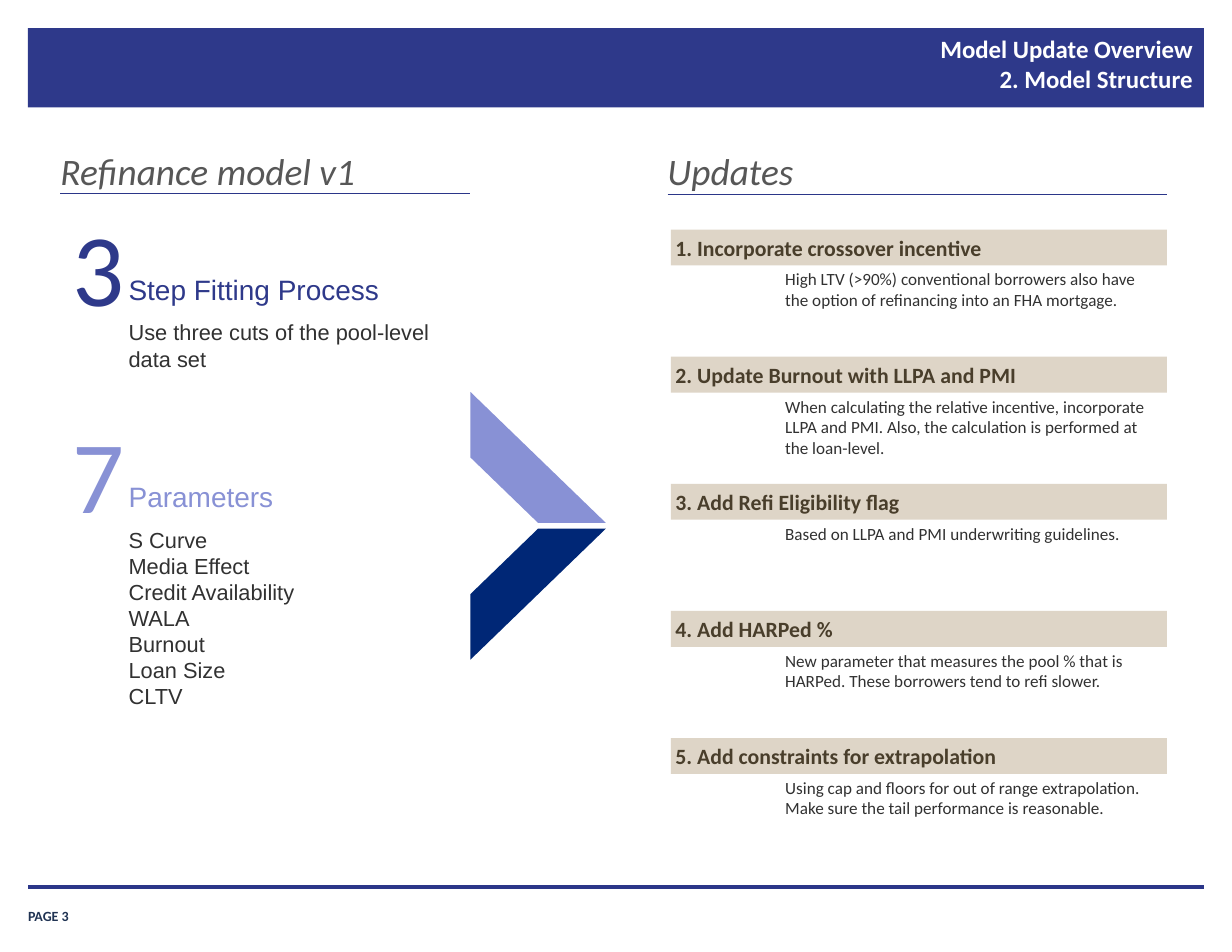
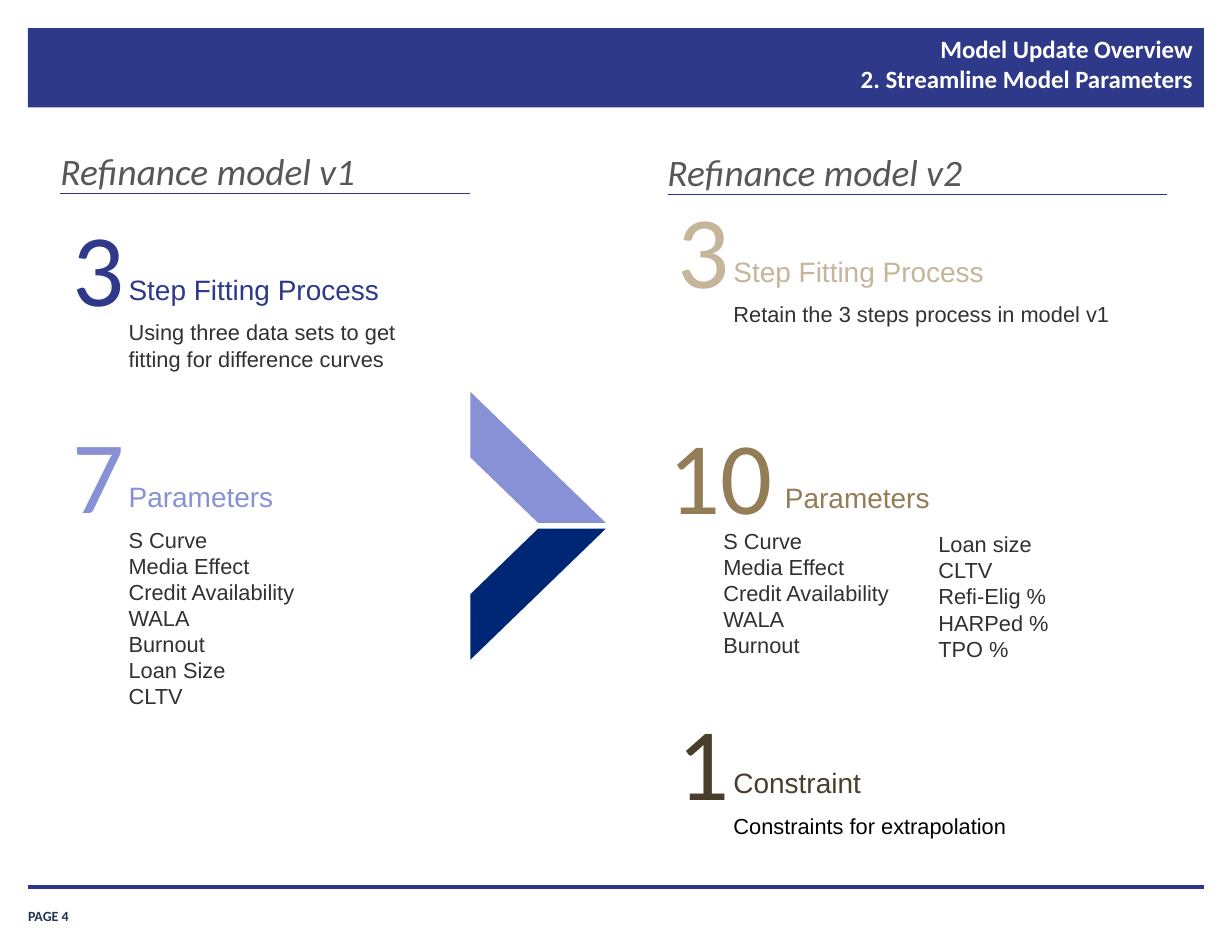
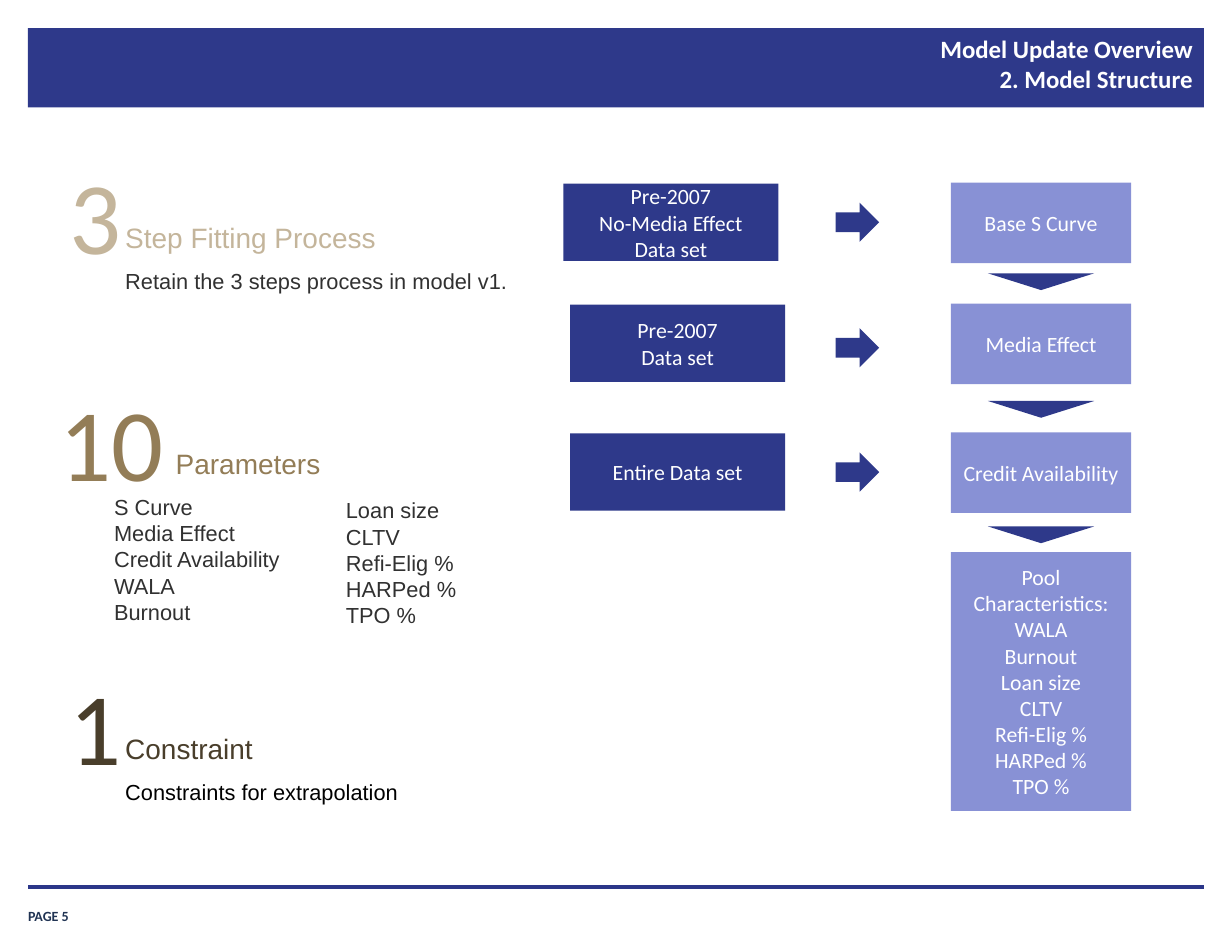
from dataclasses import dataclass
from lxml import etree
from pptx import Presentation
from pptx.dml.color import RGBColor as Rgb
from pptx.enum.shapes import MSO_CONNECTOR as Wire, MSO_SHAPE as Form
from pptx.enum.text import MSO_ANCHOR as Anchor, MSO_AUTO_SIZE as Fit, PP_ALIGN as Align
from pptx.oxml.ns import qn
from pptx.util import Inches, Pt

HUES = {
    "navy": "2E398A", "rule": "2B3689", "lilac": "8891D5", "deep": "002776",
    "sand": "DED5C7", "tan": "C4B59B", "gold": "937D57", "brown": "493E2B",
    "gray": "575757", "ink": "313131", "page": "203353", "white": "FFFFFF",
    "black": "000000",
}
OLD = ("S Curve", "Media Effect", "Credit Availability", "WALA", "Burnout",
       "Loan Size", "CLTV")
NEW = ("Loan size", "CLTV", "Refi-Elig %", "HARPed %", "TPO %")


@dataclass(frozen=True)
class Style:
    size: float
    hue: str
    font: str = "Calibri"
    bold: bool = False
    slant: bool = False
    align: Align = Align.LEFT


@dataclass(frozen=True)
class Stat:
    left: float
    top: float
    digit: str
    label: str
    hue: str
    lines: tuple
    wide: float = 0.4
    span: float = 2.6
    shift: float = 0
    room: float = 2.96
    ink: str = "ink"


@dataclass(frozen=True)
class Update:
    head: str
    text: str


@dataclass(frozen=True)
class Step:
    data: tuple
    left: float
    top: float
    arrow: float
    wedge: float
    curve: str


TITLE = Style(16, "white", bold=True, align=Align.RIGHT)
PAGE = Style(9, "page", bold=True)
HEAD = Style(24, "gray", slant=True)
BAR = Style(14, "brown", bold=True)
NOTE = Style(11, "ink")
BOX = Style(14, "white", align=Align.CENTER)
BODY = Style(14, "ink", "Arial")

UPDATES = (
    Update("1. Incorporate crossover incentive",
           "High LTV (>90%) conventional borrowers also have the option of "
           "refinancing into an FHA mortgage."),
    Update("2. Update Burnout with LLPA and PMI",
           "When calculating the relative incentive, incorporate LLPA and PMI. "
           "Also, the calculation is performed at the loan-level."),
    Update("3. Add Refi Eligibility flag",
           "Based on LLPA and PMI underwriting guidelines."),
    Update("4. Add HARPed %",
           "New parameter that measures the pool % that is HARPed. "
           "These borrowers tend to refi slower."),
    Update("5. Add constraints for extrapolation",
           "Using cap and floors for out of range extrapolation. "
           "Make sure the tail performance is reasonable."),
)
STEPS = (
    Step(("Pre-2007", "No-Media Effect", "Data set"), 5.03, 1.63, 1.81, 2.44, "Base S Curve"),
    Step(("Pre-2007", "Data set"), 5.09, 2.71, 2.93, 3.58, "Media Effect"),
    Step(("Entire Data set",), 5.09, 3.86, 4.04, 4.7, "Credit Availability"),
)


def color(hue: str) -> Rgb:
    return Rgb.from_string(HUES[hue])


def write(para, text: str, style: Style) -> None:
    run = para.add_run()
    run.text = text
    font = run.font
    font.name, font.size = style.font, Pt(style.size)
    font.bold, font.italic = style.bold, style.slant
    font.color.rgb = color(style.hue)


def fill_text(frame, lines: tuple, style: Style, pads: tuple, anchor=Anchor.TOP) -> None:
    frame.word_wrap = True
    frame.vertical_anchor = anchor
    (frame.margin_left, frame.margin_top,
     frame.margin_right, frame.margin_bottom) = map(Inches, pads)
    for num, line in enumerate(lines):
        para = frame.add_paragraph() if num else frame.paragraphs[0]
        para.alignment = style.align
        write(para, line, style)


def add_text(shapes, left: float, top: float, wide: float, high: float,
             lines: tuple, style: Style, pads: tuple = (0, 0, 0, 0),
             anchor=Anchor.TOP, fit=Fit.SHAPE_TO_FIT_TEXT) -> None:
    box = shapes.add_textbox(*map(Inches, (left, top, wide, high)))
    fill_text(box.text_frame, lines, style, pads, anchor)
    box.text_frame.auto_size = fit


def add_form(shapes, form: Form, left: float, top: float, wide: float, high: float, hue: str):
    shape = shapes.add_shape(form, *map(Inches, (left, top, wide, high)))
    shape.shadow.inherit = False
    shape.fill.solid()
    shape.fill.fore_color.rgb = color(hue)
    shape.line.fill.background()
    return shape


def add_box(shapes, left: float, top: float, wide: float, high: float,
            hue: str, lines: tuple, style: Style = BOX,
            pads: tuple = (0.1, 0.05, 0.1, 0.05)) -> None:
    shape = add_form(shapes, Form.RECTANGLE, left, top, wide, high, hue)
    fill_text(shape.text_frame, lines, style, pads, Anchor.MIDDLE)


def add_rule(shapes, left: float, right: float, top: float, weight: float) -> None:
    rule = shapes.add_connector(Wire.STRAIGHT, *map(Inches, (left, top, right, top)))
    rule.line.color.rgb = color("rule")
    rule.line.width = Pt(weight)
    etree.SubElement(rule.element.spPr, qn("a:effectLst"))


def add_head(shapes, left: float, right: float, top: float, rule: float, text: str) -> None:
    add_text(shapes, left, top, 5.56, 0.4, (text,), HEAD)
    add_rule(shapes, left, right, rule, 0.75)


def add_list(shapes, left: float, top: float, lines: tuple, wide: float = 2.96,
             ink: str = "ink") -> None:
    add_text(shapes, left, top, wide, 0.1 + 0.235 * len(lines), lines,
             Style(BODY.size, ink, BODY.font), (0.1, 0.05, 0.1, 0.05))


def add_stat(shapes, stat: Stat) -> None:
    group = shapes.add_group_shape().shapes
    side = stat.left + stat.wide
    add_text(group, stat.left, stat.top, stat.wide, 1.11, (stat.digit,),
             Style(66, stat.hue, align=Align.CENTER))
    add_text(group, side, stat.top + 0.56, stat.span, 0.4, (stat.label,),
             Style(18, stat.hue, "Arial"), (0.1, 0.05, 0.1, 0.05))
    add_list(group, side + stat.shift, stat.top + 0.98, stat.lines, stat.room, stat.ink)


def add_first(shapes, text: str) -> None:
    add_head(shapes, 0.54, 4.2, 1.32, 1.73, "Refinance model v1")
    add_stat(shapes, Stat(0.65, 1.82, "3", "Step Fitting Process", "navy", (text,)))
    add_stat(shapes, Stat(0.65, 3.67, "7", "Parameters", "lilac", OLD, span=1.98))
    group = shapes.add_group_shape().shapes
    add_form(group, Form.DIAGONAL_STRIPE, 4.2, 4.72, 1.21, 1.17, "deep")
    top = add_form(group, Form.DIAGONAL_STRIPE, 4.2, 3.5, 1.21, 1.17, "lilac")
    top.element.spPr.xfrm.set("flipV", "1")


def add_second(shapes, left: float, tops: tuple, ten: float, col: float, text: str) -> None:
    add_stat(shapes, Stat(left, tops[0], "3", "Step Fitting Process", "tan", (text,), room=3.97))
    add_stat(shapes, Stat(ten, tops[1], "10", "Parameters", "gold", OLD[:5],
                          wide=0.95, span=1.98, shift=-0.55))
    add_list(shapes, col, tops[1] + 1.01, NEW)
    add_stat(shapes, Stat(left, tops[2], "1", "Constraint", "brown",
                          ("Constraints for extrapolation",), span=2.96, ink="black"))


def add_slide(deck, page: int, topic: str):
    slide = deck.slides.add_slide(deck.slide_layouts[5])
    shapes = slide.shapes
    add_form(shapes, Form.RECTANGLE, 0.25, 0.25, 10.5, 0.71, "navy")
    add_text(shapes, 0.25, 8.02, 0.91, 0.23, (f"PAGE {page}",), PAGE,
             anchor=Anchor.BOTTOM, fit=Fit.NONE)
    add_rule(shapes, 0.25, 10.75, 7.92, 2)
    title = shapes.title
    shapes.element.append(title.element)
    title.left, title.top, title.width, title.height = map(Inches, (3.32, 0.24, 7.44, 0.74))
    frame = title.text_frame
    frame.auto_size = Fit.NONE
    fill_text(frame, ("Model Update Overview",), TITLE, (0.11, 0.06, 0.11, 0.06))
    frame.paragraphs[0].add_line_break()
    write(frame.paragraphs[0], topic, TITLE)
    return shapes


def draw_updates(deck) -> None:
    shapes = add_slide(deck, 3, "2. Model Structure")
    add_first(shapes, "Use three cuts of the pool-level data set")
    add_head(shapes, 5.96, 10.42, 1.32, 1.74, "Updates")
    pad = 0.04
    for num, item in enumerate(UPDATES):
        top = 2.05 + 1.135 * num
        add_box(shapes, 5.99, top, 4.43, 0.32, "sand", (item.head,), BAR, (pad,) * 4)
        add_text(shapes, 6.47, top + 0.31, 3.95, 0.45, (item.text,), NOTE,
                 (0.5 + pad, pad, pad, pad))


def draw_params(deck) -> None:
    shapes = add_slide(deck, 4, "2. Streamline Model Parameters")
    add_first(shapes, "Using three data sets to get fitting for difference curves")
    add_head(shapes, 5.96, 10.42, 1.33, 1.74, "Refinance model v2")
    add_second(shapes, 6.05, (1.66, 3.68, 6.23), 5.96, 8.28,
               "Retain the 3 steps process in model v1")


def draw_steps(deck) -> None:
    shapes = add_slide(deck, 5, "2. Model Structure")
    for step in STEPS:
        add_box(shapes, step.left, step.top + 0.01, 1.92, 0.69, "navy", step.data)
        add_form(shapes, Form.RIGHT_ARROW, 7.46, step.arrow, 0.39, 0.35, "navy")
        add_box(shapes, 8.49, step.top, 1.61, 0.72, "lilac", (step.curve,))
        wedge = add_form(shapes, Form.ISOSCELES_TRIANGLE, 8.82, step.wedge, 0.95, 0.15, "navy")
        wedge.rotation = 180
    add_box(shapes, 8.49, 4.93, 1.61, 2.31, "lilac",
            ("Pool Characteristics:", "WALA", "Burnout") + NEW)
    add_second(shapes, 0.62, (1.36, 3.38, 5.92), 0.52, 2.99,
               "Retain the 3 steps process in model v1.")


def main() -> None:
    deck = Presentation()
    deck.slide_width, deck.slide_height = Inches(11), Inches(8.5)
    for draw in (draw_updates, draw_params, draw_steps):
        draw(deck)
    deck.save("out.pptx")


if __name__ == "__main__":
    main()
